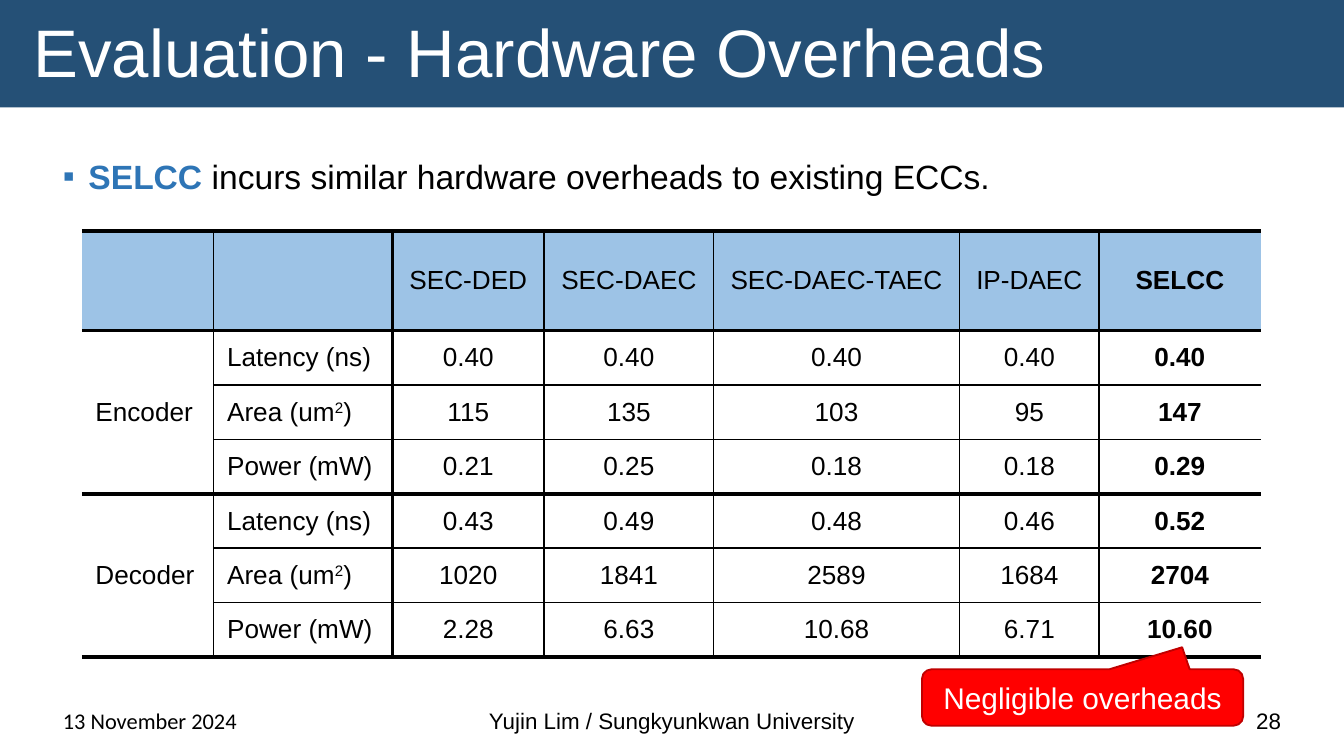
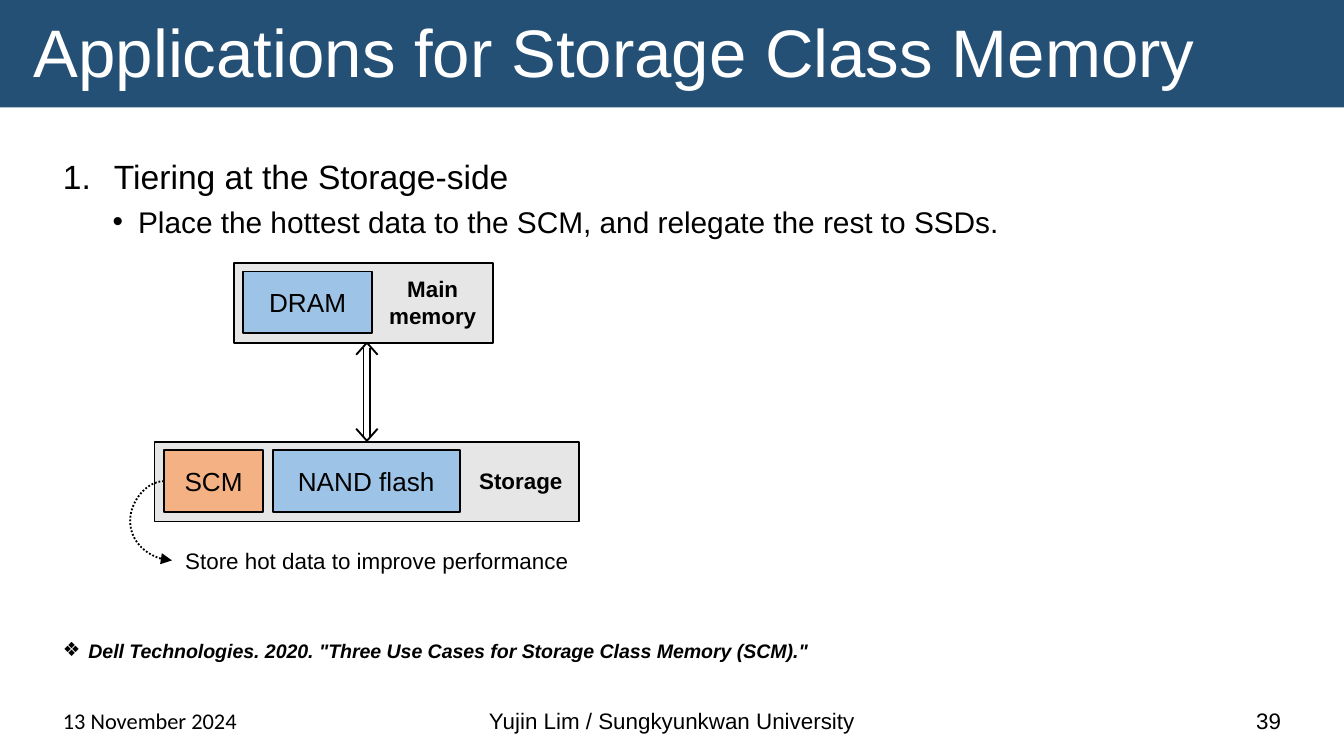
from lxml import etree
from pptx import Presentation
from pptx import util as u
from pptx.dml.color import RGBColor
from pptx.enum import dml, shapes, text
from pptx.oxml.ns import qn

NAVY = RGBColor(0x25, 0x50, 0x76)
BLUE = RGBColor(0x2E, 0x75, 0xB6)
LIGHT_BLUE = RGBColor(0x9D, 0xC3, 0xE6)
ORANGE = RGBColor(0xF4, 0xB1, 0x83)
GRAY = RGBColor(0xE7, 0xE6, 0xE6)
RED = RGBColor(0xFF, 0x00, 0x00)
DARK_RED = RGBColor(0xC0, 0x00, 0x00)
BLACK = RGBColor(0x00, 0x00, 0x00)
WHITE = RGBColor(0xFF, 0xFF, 0xFF)

LEFT, CENTER, RIGHT = text.PP_ALIGN.LEFT, text.PP_ALIGN.CENTER, text.PP_ALIGN.RIGHT
TOP, MIDDLE, BOTTOM = text.MSO_ANCHOR.TOP, text.MSO_ANCHOR.MIDDLE, text.MSO_ANCHOR.BOTTOM


def add_run(paragraph, words, size, color=BLACK, bold=False, italic=False, font="Arial"):
    run = paragraph.add_run()
    run.text = words
    run.font.name = font
    run.font.size = u.Pt(size)
    run.font.color.rgb = color
    run.font.bold = bold
    run.font.italic = italic
    return run


def add_box(slide, bounds, fill=None, line=None, align=LEFT, anchor=TOP,
            preset=shapes.MSO_SHAPE.RECTANGLE):
    """Add a text box, or a filled shape if a fill is given."""
    lengths = [u.Inches(value) for value in bounds]
    if fill is None:
        box = slide.shapes.add_textbox(*lengths)
    else:
        box = slide.shapes.add_shape(preset, *lengths)
        box.shadow.inherit = False
        box.fill.solid()
        box.fill.fore_color.rgb = fill
        if line is None:
            box.line.fill.background()
        else:
            box.line.color.rgb = line
            box.line.width = u.Pt(1)
    box.text_frame.word_wrap = True
    box.text_frame.vertical_anchor = anchor
    box.text_frame.paragraphs[0].alignment = align
    return box


prs = Presentation()
prs.slide_width, prs.slide_height = u.Inches(10), u.Inches(10 * 9 / 16)

# Band, title and footer of both slides
slides = []
for heading, number in [
    ("Evaluation - Hardware Overheads", "28"),
    ("Applications for Storage Class Memory", "39"),
]:
    slide = prs.slides.add_slide(prs.slide_layouts[5])
    slides.append(slide)
    title = slide.shapes.title
    band = add_box(slide, (0, 0, 10, 0.8), NAVY)
    title.element.addprevious(band.element)
    title.left, title.top = u.Inches(0.15), u.Inches(0.1)
    title.width, title.height = u.Inches(9.7), u.Inches(0.63)
    title.text_frame.auto_size = text.MSO_AUTO_SIZE.NONE
    title.text_frame.vertical_anchor = MIDDLE
    title_line = title.text_frame.paragraphs[0]
    title_line.alignment = LEFT
    title_line.line_spacing = 0.9
    add_run(title_line, heading, 36, WHITE)

    for left, width, words, align, font in [
        (3.31, 3.38, "Yujin Lim / Sungkyunkwan University", CENTER, "Arial"),
        (7.06, 2.57, number, RIGHT, "Arial"),
        (0.37, 2.57, "13 November 2024", LEFT, "Calibri"),
    ]:
        footer = add_box(slide, (left, 5.21, width, 0.3), align=align, anchor=BOTTOM)
        add_run(footer.text_frame.paragraphs[0], words, 12, font=font)

overheads, applications = slides

# Bulleted text: marker, left margin, hanging indent, space before, runs
for slide, items in [
    (overheads, [
        ("▪", 0.19, 0.19, 0, [
            ("SELCC", 18, BLUE, True),
            (" incurs similar hardware overheads to existing ECCs.", 18)]),
    ]),
    (applications, [
        ("1.", 0.38, 0.38, 0, [("Tiering at the Storage-side", 18)]),
        ("•", 0.56, 0.19, 3.8, [
            ("Place the hottest data to the SCM, and relegate the rest to SSDs.", 16)]),
        ("❖", 0.19, 0.19, 214, [
            ('Dell Technologies. 2020. "Three Use Cases for Storage Class Memory (SCM)."',
             10.5, BLACK, True, True)]),
    ]),
]:
    frame = add_box(slide, (0.37, 1.11, 9.26, 3.95)).text_frame
    for index, (marker, margin, hang, space, runs) in enumerate(items):
        paragraph = frame.add_paragraph() if index else frame.paragraphs[0]
        properties = paragraph._p.get_or_add_pPr()
        properties.set("marL", str(u.Inches(margin)))
        properties.set("indent", str(-u.Inches(hang)))
        paragraph.space_before = u.Pt(space)
        etree.SubElement(properties, qn("a:buFont"), typeface="Arial")
        if marker == "1.":
            etree.SubElement(properties, qn("a:buAutoNum"), type="arabicPeriod")
        else:
            etree.SubElement(properties, qn("a:buChar"), char=marker)
        for run in runs:
            add_run(paragraph, *run)

# Overheads table
rows = [
    ["", "", "SEC-DED", "SEC-DAEC", "SEC-DAEC-TAEC", "IP-DAEC", "SELCC"],
    ["Encoder", "Latency (ns)", "0.40", "0.40", "0.40", "0.40", "0.40"],
    ["", "Area (um2)", "115", "135", "103", "95", "147"],
    ["", "Power (mW)", "0.21", "0.25", "0.18", "0.18", "0.29"],
    ["Decoder", "Latency (ns)", "0.43", "0.49", "0.48", "0.46", "0.52"],
    ["", "Area (um2)", "1020", "1841", "2589", "1684", "2704"],
    ["", "Power (mW)", "2.28", "6.63", "10.68", "6.71", "10.60"],
]
table_height, header_height = 3.17, 0.74
table = overheads.shapes.add_table(
    7, 7, u.Inches(0.61), u.Inches(1.72), u.Inches(8.77), u.Inches(table_height)).table
table.first_row = table.horz_banding = False
for column, width in zip(table.columns, [0.98, 1.33, 1.13, 1.26, 1.83, 1.04, 1.2]):
    column.width = u.Inches(width)
for r, row in enumerate(table.rows):
    row.height = u.Inches((table_height - header_height) / 6 if r else header_height)
for first in (1, 4):
    table.cell(first, 0).merge(table.cell(first + 2, 0))

vertical_rules = [0, 1, 1.5, 1, 1, 1, 1.5, 0]
for r, values in enumerate(rows):
    for c, value in enumerate(values):
        cell = table.cell(r, c)
        if cell.is_spanned:
            continue
        edges = {
            "a:lnL": vertical_rules[c],
            "a:lnR": vertical_rules[c + 1],
            "a:lnT": 2.25 if r in (0, 1, 4) else 1,
            "a:lnB": 2.25 if r % 3 == 0 or c == 0 else 1,
        }
        for tag, points in edges.items():
            edge = etree.SubElement(cell._tc.get_or_add_tcPr(), qn(tag), w=str(u.Pt(points)))
            if points:
                ink = etree.SubElement(edge, qn("a:solidFill"))
                etree.SubElement(ink, qn("a:srgbClr"), val=str(BLACK))
            else:
                etree.SubElement(edge, qn("a:noFill"))
        if r == 0:
            cell.fill.solid()
            cell.fill.fore_color.rgb = LIGHT_BLUE
        else:
            cell.fill.background()
        cell.vertical_anchor = MIDDLE
        paragraph = cell.text_frame.paragraphs[0]
        paragraph.alignment = CENTER if c > 1 else LEFT
        if value == "Area (um2)":
            add_run(paragraph, "Area (um", 14)
            square = add_run(paragraph, "2", 14)
            square.font._element.set("baseline", "30000")
            add_run(paragraph, ")", 14)
        elif value:
            add_run(paragraph, value, 14, bold=c == 6)

callout = add_box(overheads, (6.86, 4.98, 2.39, 0.42), RED, DARK_RED, CENTER, MIDDLE,
                  shapes.MSO_SHAPE.ROUNDED_RECTANGULAR_CALLOUT)
for index, value in enumerate([0.31, -0.89, 0.17]):
    callout.adjustments[index] = value
add_run(callout.text_frame.paragraphs[0], "Negligible overheads", 16, WHITE)

# Memory and storage tiers
for bounds, fill, words in [
    ((1.74, 1.96, 1.93, 0.59), GRAY, ""),
    ((1.81, 2.02, 0.96, 0.46), LIGHT_BLUE, "DRAM"),
    ((1.15, 3.29, 3.16, 0.59), GRAY, ""),
    ((2.03, 3.35, 1.39, 0.46), LIGHT_BLUE, "NAND flash"),
    ((1.22, 3.35, 0.74, 0.46), ORANGE, "SCM"),
]:
    tier = add_box(applications, bounds, fill, BLACK, CENTER, MIDDLE)
    if words:
        add_run(tier.text_frame.paragraphs[0], words, 14)

for bounds, words, align, bold in [
    ((2.77, 2, 0.9, 0.5), "Main memory", CENTER, True),
    ((3.43, 3.43, 0.89, 0.3), "Storage", CENTER, True),
    ((1.28, 4.02, 3.29, 0.3), "Store hot data to improve performance", LEFT, False),
]:
    label = add_box(applications, bounds, align=align)
    add_run(label.text_frame.paragraphs[0], words, 12, bold=bold)

# Double arrow between the tiers, then the curve from SCM to its remark
axis = 2.73
links = []
for side in (-1, 1):
    rail, barb = axis + side * 0.025, axis + side * 0.08
    links += [
        (shapes.MSO_CONNECTOR.STRAIGHT, rail, 2.59, rail, 3.25),
        (shapes.MSO_CONNECTOR.STRAIGHT, axis, 2.55, barb, 2.64),
        (shapes.MSO_CONNECTOR.STRAIGHT, axis, 3.28, barb, 3.19),
    ]
links.append((shapes.MSO_CONNECTOR.CURVE, 1.22, 3.58, 1.28, 4.17))
for kind, *ends in links:
    link = applications.shapes.add_connector(kind, *[u.Inches(end) for end in ends])
    link.line.color.rgb = BLACK
    link.line.width = u.Pt(1)
    properties = link.element.spPr
    if kind == shapes.MSO_CONNECTOR.CURVE:
        link.line.dash_style = dml.MSO_LINE.ROUND_DOT
        etree.SubElement(properties.find(qn("a:ln")), qn("a:tailEnd"), type="triangle")
        bends = properties.find(qn("a:prstGeom")).find(qn("a:avLst"))
        etree.SubElement(bends, qn("a:gd"), name="adj1", fmla="val -420000")
    etree.SubElement(properties, qn("a:effectLst"))

prs.save("out.pptx")
